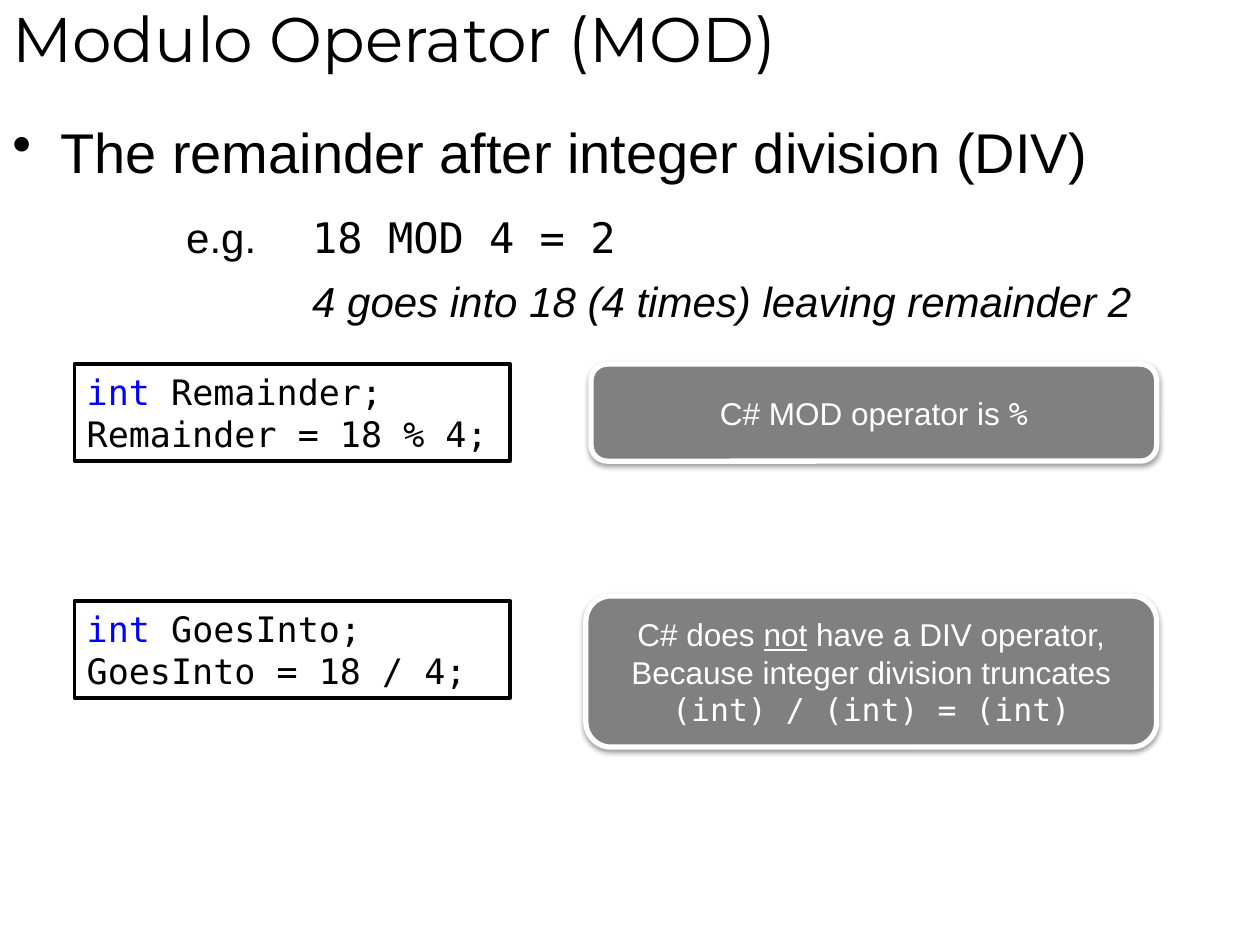
from dataclasses import dataclass

from lxml.etree import SubElement
from pptx import Presentation
from pptx.dml.color import RGBColor
from pptx.enum.shapes import MSO_SHAPE
from pptx.enum.text import MSO_ANCHOR, PP_ALIGN
from pptx.oxml.ns import qn
from pptx.util import Inches, Pt


@dataclass(frozen=True)
class Theme:
    black: str = "000000"
    white: str = "FFFFFF"
    gray: str = "808080"
    keyword: str = "0000FF"
    heading_font: str = "Montserrat"
    text_font: str = "Arial"
    code_font: str = "DejaVu Sans Mono"
    title_size: int = 36
    bullet_size: int = 32
    example_size: int = 24
    code_size: int = 20
    note_size: int = 18


THEME = Theme()


@dataclass(frozen=True)
class Span:
    text: str
    size: int
    font: str = THEME.text_font
    color: str = THEME.black
    italic: bool = False
    underline: bool = False


@dataclass(frozen=True)
class Line:
    spans: list[Span]
    margin: float = 0
    indent: float = 0
    space_before: float = 0
    bullet: str = ""


@dataclass(frozen=True)
class Area:
    left: float
    top: float
    width: float
    height: float

    def lengths(self):
        return [Inches(n) for n in (self.left, self.top, self.width, self.height)]


def code(text: str, color: str = THEME.black) -> Span:
    return Span(text, THEME.code_size, THEME.code_font, color)


def note(text: str, font: str = THEME.text_font, underline: bool = False) -> Span:
    return Span(text, THEME.note_size, font, THEME.white, underline=underline)


def write(frame, lines: list[Line], align=PP_ALIGN.LEFT, anchor=MSO_ANCHOR.TOP) -> None:
    frame.word_wrap = True
    frame.vertical_anchor = anchor
    for number, line in enumerate(lines):
        para = frame.add_paragraph() if number else frame.paragraphs[0]
        para.alignment = align
        if line.space_before:
            para.space_before = Pt(line.space_before)
        properties = para._p.get_or_add_pPr()
        properties.set("marL", str(Inches(line.margin)))
        properties.set("indent", str(Inches(line.indent)))
        if line.bullet:
            SubElement(properties, qn("a:buChar"), char=line.bullet)
        for span in line.spans:
            run = para.add_run()
            run.text = span.text
            run.font.size = Pt(span.size)
            run.font.name = span.font
            run.font.color.rgb = RGBColor.from_string(span.color)
            run.font.italic = span.italic
            run.font.underline = span.underline


def add_text(page, area: Area, lines: list[Line], anchor=MSO_ANCHOR.TOP) -> None:
    write(page.shapes.add_textbox(*area.lengths()).text_frame, lines, anchor=anchor)


def add_box(page, kind, area: Area, fill: str, border: str, weight: float):
    box = page.shapes.add_shape(kind, *area.lengths())
    box.shadow.inherit = False
    box.fill.solid()
    box.fill.fore_color.rgb = RGBColor.from_string(fill)
    box.line.color.rgb = RGBColor.from_string(border)
    box.line.width = Pt(weight)
    return box


def add_code(page, area: Area, lines: list[Line]) -> None:
    box = add_box(page, MSO_SHAPE.RECTANGLE, area, THEME.white, THEME.black, 2)
    write(box.text_frame, lines)


def add_note(page, area: Area, lines: list[Line]) -> None:
    box = add_box(page, MSO_SHAPE.ROUNDED_RECTANGLE, area, THEME.gray, THEME.white, 3)
    write(box.text_frame, lines, PP_ALIGN.CENTER, MSO_ANCHOR.MIDDLE)
    # Soft shadow straight below the box
    effects = box._element.spPr.find(qn("a:effectLst"))
    shadow = SubElement(effects, qn("a:outerShdw"), blurRad=str(Pt(3.1)),
                        dist=str(Pt(1.6)), dir="5400000", rotWithShape="0")
    color = SubElement(shadow, qn("a:srgbClr"), val=THEME.black)
    SubElement(color, qn("a:alpha"), val="38000")


def main() -> None:
    deck = Presentation()
    deck.slide_width, deck.slide_height = Inches(10), Inches(7.5)
    page = deck.slides.add_slide(deck.slide_layouts[6])

    # Title
    title = Span("Modulo Operator (MOD)", THEME.title_size, THEME.heading_font)
    add_text(page, Area(0, -0.08, 10, 0.75), [Line([title])], MSO_ANCHOR.MIDDLE)

    # Definition and worked example
    size = THEME.example_size
    add_text(page, Area(0, 0.88, 10, 6.12), [
        Line([Span("The remainder after integer division (DIV)", THEME.bullet_size)],
             margin=0.38, indent=-0.38, bullet="•"),
        Line([Span("e.g.\t", size), Span("18 MOD 4 = 2", size, THEME.code_font)],
             margin=2.38, indent=-1, space_before=15.5),
        Line([Span("4 goes into 18 (4 times) leaving remainder 2", size, italic=True)],
             margin=2.38, space_before=8),
    ])

    # Remainder: code and note
    add_note(page, Area(4.69, 2.89, 4.49, 0.77), [
        Line([note("C# MOD operator is "), note("%", THEME.code_font)]),
    ])
    add_code(page, Area(0.59, 2.89, 3.46, 0.77), [
        Line([code("int", THEME.keyword), code(" Remainder;")]),
        Line([code("Remainder = 18 % 4;")]),
    ])

    # Integer division: code and note
    add_note(page, Area(4.65, 4.73, 4.53, 1.2), [
        Line([note("C# does "), note("not", underline=True),
              note(" have a DIV operator,")]),
        Line([note("Because integer division truncates")]),
        Line([note("(int) / (int) = (int)", THEME.code_font)]),
    ])
    add_code(page, Area(0.59, 4.77, 3.46, 0.77), [
        Line([code("int ", THEME.keyword), code("GoesInto;")]),
        Line([code("GoesInto = 18 / 4;")]),
    ])

    deck.save("out.pptx")


if __name__ == "__main__":
    main()
